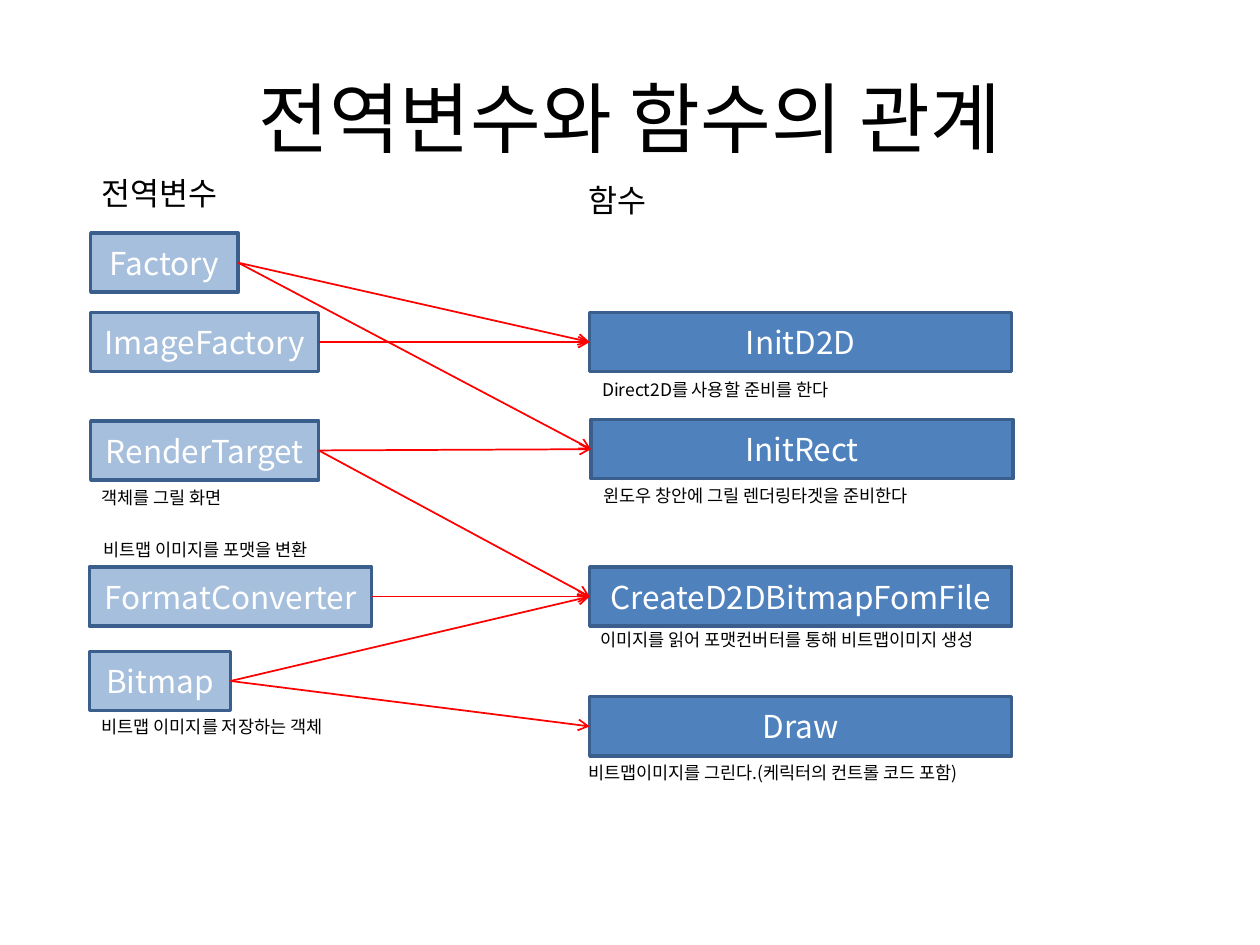
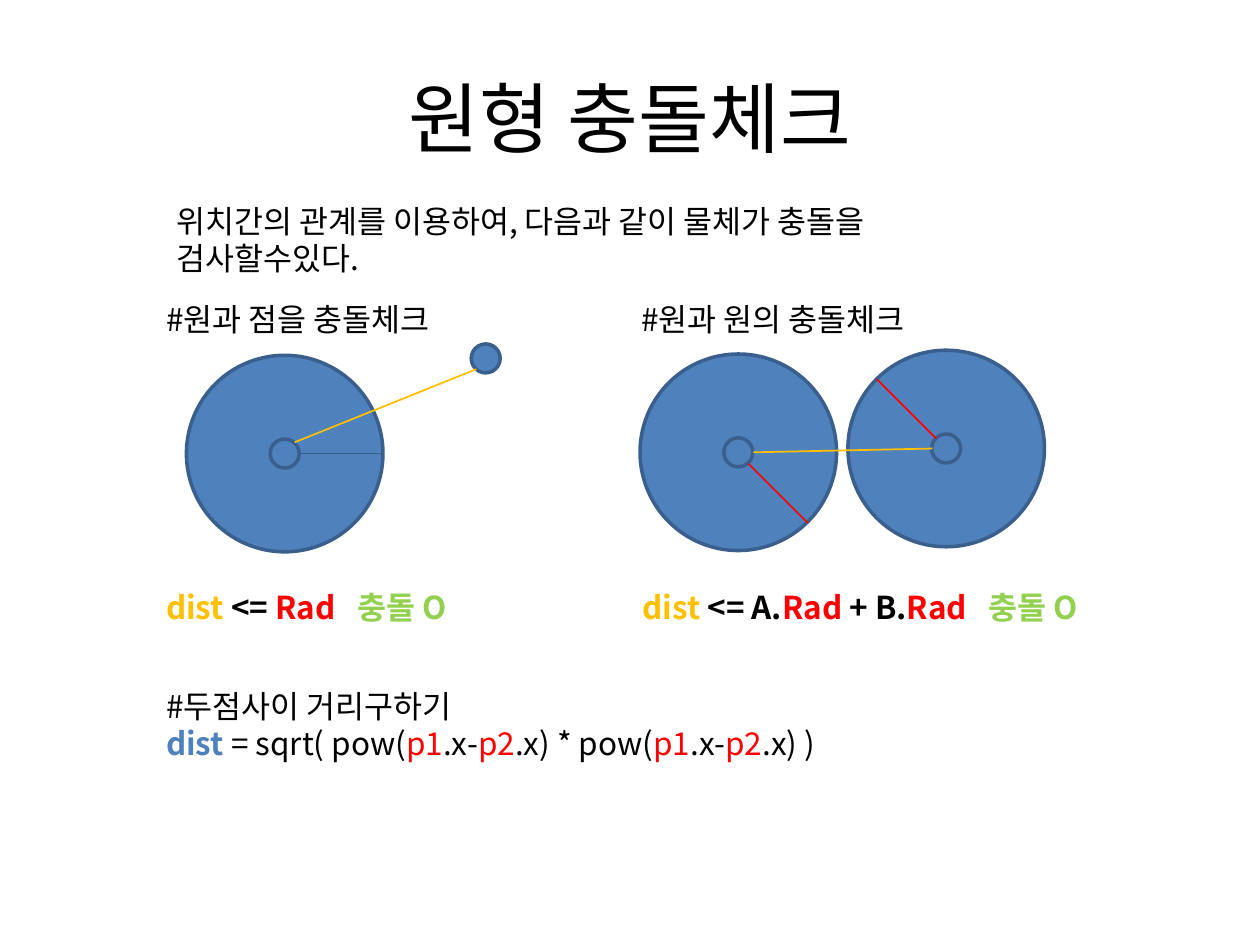
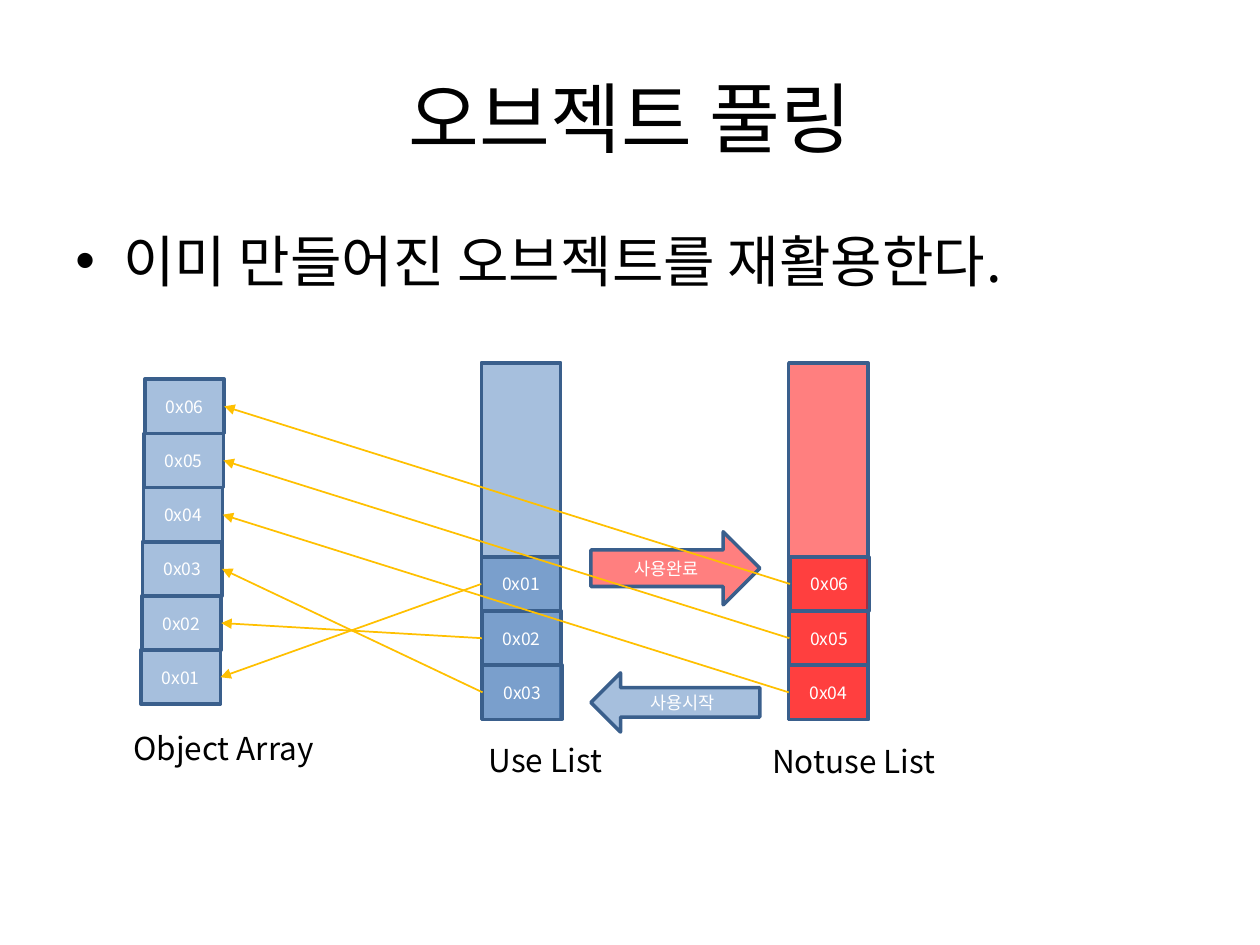
from dataclasses import dataclass
from typing import Optional

from lxml import etree
from pptx import Presentation
from pptx.dml.color import RGBColor
from pptx.enum.shapes import MSO_CONNECTOR, MSO_SHAPE
from pptx.enum.text import MSO_ANCHOR, PP_ALIGN
from pptx.oxml.ns import qn
from pptx.util import Inches, Pt

FONT = "Noto Sans CJK KR"
BLACK, WHITE = "000000", "FFFFFF"
BLUE, OUTLINE = "4F81BD", "3A5F8C"
RED, AMBER, GREEN = "FF0000", "FFC000", "92D050"
LEFT_SIDE, RIGHT_SIDE = 1, 3
CELL_WIDTH, CELL_HEIGHT = 0.63, 0.43


@dataclass(frozen=True)
class Area:
    left: float
    top: float
    width: float
    height: float

    def lengths(self) -> tuple:
        return tuple(map(Inches, (self.left, self.top, self.width, self.height)))


@dataclass(frozen=True)
class Span:
    text: str
    color: str = BLACK
    bold: bool = False


@dataclass(frozen=True)
class Node:
    name: str
    area: Area
    alpha: Optional[int] = None


@dataclass(frozen=True)
class Label:
    text: str
    area: Area
    size: float = 18


@dataclass(frozen=True)
class Stack:
    codes: tuple
    left: float
    bottom_cell: float
    drift: float
    color: str


def rgb(color: str) -> RGBColor:
    return RGBColor.from_string(color)


def add_child(parent, tag: str, **attributes: str):
    return etree.SubElement(parent, qn(tag), attributes)


def style_font(font, size: float, color: str, bold: bool = False) -> None:
    font.size, font.name, font.bold = Pt(size), FONT, bold
    font.color.rgb = rgb(color)


def add_span(para, span: Span, size: float) -> None:
    run = para.add_run()
    run.text = span.text
    style_font(run.font, size, span.color, span.bold)
    run.font._element.find(qn("a:latin")).addnext(
        etree.Element(qn("a:ea"), typeface=FONT))


def add_text(page, area: Area, lines: list, size: float = 18):
    """Place one paragraph whose lines are lists of spans."""
    box = page.shapes.add_textbox(*area.lengths())
    box.text_frame.word_wrap = True
    para = box.text_frame.paragraphs[0]
    for number, spans in enumerate(lines):
        if number:
            para.add_line_break()
        for span in spans:
            add_span(para, span, size)
    return box


def add_label(page, label: Label):
    return add_text(page, label.area, [[Span(label.text)]], label.size)


def add_title(page, text: str) -> None:
    box = add_label(page, Label(text, Area(0.5, 0.3, 9, 1.25), 44))
    box.text_frame.vertical_anchor = MSO_ANCHOR.MIDDLE
    box.text_frame.paragraphs[0].alignment = PP_ALIGN.CENTER


def add_figure(page, kind, area: Area, color: str = BLUE,
               alpha: Optional[int] = None, text: str = "", size: float = 18):
    figure = page.shapes.add_shape(kind, *area.lengths())
    figure.shadow.inherit = False
    figure.fill.solid()
    figure.fill.fore_color.rgb = rgb(color)
    if alpha is not None:
        fill = figure._element.spPr.find(qn("a:solidFill"))
        add_child(fill[0], "a:alpha", val=str(alpha * 1000))
    figure.line.color.rgb = rgb(OUTLINE)
    figure.line.width = Pt(2)
    if text:
        frame = figure.text_frame
        frame.word_wrap = False
        frame.vertical_anchor = MSO_ANCHOR.MIDDLE
        para = frame.paragraphs[0]
        para.alignment = PP_ALIGN.CENTER
        add_span(para, Span(text, WHITE), size)
    return figure


def add_line(page, start: tuple, end: tuple, color: str, width: float = 1):
    line = page.shapes.add_connector(
        MSO_CONNECTOR.STRAIGHT, *map(Inches, (*start, *end)))
    line.line.color.rgb = rgb(color)
    line.line.width = Pt(width)
    add_child(line._element.spPr, "a:effectLst")
    return line


def add_arrow(page, source, source_side: int, target, target_side: int,
              color: str, head: str) -> None:
    """Join the sides of two rectangles, with a head at the target."""
    arrow = add_line(page, (0, 0), (1, 1), color)
    arrow.begin_connect(source, source_side)
    arrow.end_connect(target, target_side)
    add_child(arrow.line._get_or_add_ln(), "a:tailEnd", type=head)


def add_verdict(page, area: Area, spans: list, tab: float) -> None:
    """Write a bold condition and, at a tab stop, its result."""
    box = add_text(page, area, [])
    para = box.text_frame.paragraphs[0]
    tabs = add_child(para._p.get_or_add_pPr(), "a:tabLst")
    add_child(tabs, "a:tab", pos=str(Inches(tab)), algn="l")
    for text, color in [*spans, ("\t충돌 O", GREEN)]:
        add_span(para, Span(text, color, True), 18)


def build_relations(page) -> None:
    add_title(page, "전역변수와 함수의 관계")

    # Global variables on the left, functions on the right
    nodes = [
        Node("Factory", Area(0.72, 1.85, 1.17, 0.47), 50),
        Node("ImageFactory", Area(0.72, 2.48, 1.81, 0.47), 50),
        Node("RenderTarget", Area(0.72, 3.34, 1.81, 0.47), 50),
        Node("FormatConverter", Area(0.71, 4.5, 2.24, 0.47), 50),
        Node("Bitmap", Area(0.71, 5.17, 1.12, 0.47), 50),
        Node("InitD2D", Area(4.68, 2.48, 3.35, 0.47)),
        Node("InitRect", Area(4.69, 3.33, 3.35, 0.47)),
        Node("CreateD2DBitmapFomFile", Area(4.68, 4.5, 3.35, 0.47)),
        Node("Draw", Area(4.68, 5.53, 3.35, 0.47)),
    ]
    boxes = {node.name: add_figure(page, MSO_SHAPE.RECTANGLE, node.area,
                                   alpha=node.alpha, text=node.name)
             for node in nodes}

    # Which function uses which variable
    uses = {
        "Factory": ["InitD2D", "InitRect"],
        "ImageFactory": ["InitD2D"],
        "RenderTarget": ["InitRect", "CreateD2DBitmapFomFile"],
        "FormatConverter": ["CreateD2DBitmapFomFile"],
        "Bitmap": ["CreateD2DBitmapFomFile", "Draw"],
    }
    for variable, functions in uses.items():
        for function in functions:
            add_arrow(page, boxes[variable], RIGHT_SIDE,
                      boxes[function], LEFT_SIDE, RED, "arrow")

    # Headings and explanations
    for label in [
        Label("전역변수", Area(0.71, 1.33, 1.45, 0.4)),
        Label("함수", Area(4.57, 1.39, 1.45, 0.4)),
        Label("객체를 그릴 화면", Area(0.71, 3.82, 2.22, 0.27), 10),
        Label("비트맵 이미지를 포맷을 변환", Area(0.72, 4.23, 2.22, 0.27), 10),
        Label("비트맵 이미지를 저장하는 객체", Area(0.71, 5.63, 2.38, 0.27), 10),
        Label("Direct2D를 사용할 준비를 한다", Area(4.68, 2.96, 3.35, 0.27), 10),
        Label("윈도우 창안에 그릴 렌더링타겟을 준비한다",
              Area(4.69, 3.8, 3.35, 0.27), 10),
        Label("이미지를 읽어 포맷컨버터를 통해 비트맵이미지 생성",
              Area(4.67, 4.94, 3.56, 0.27), 10),
        Label("비트맵이미지를 그린다.(케릭터의 컨트롤 코드 포함)",
              Area(4.57, 6, 3.45, 0.27), 10),
    ]:
        add_label(page, label)


def build_collision(page) -> None:
    add_title(page, "원형 충돌체크")

    # Circles with their centres, and the lone point
    disc, dot = 1.56, 0.23
    inset = (disc - dot) / 2
    circles = [(1.48, 2.82), (5.08, 2.81), (6.73, 2.78)]
    rounds = [(left + shift, top + shift, size)
              for left, top in circles
              for shift, size in ((0, disc), (inset, dot))]
    for left, top, size in [*rounds, (3.74, 2.73, dot)]:
        add_figure(page, MSO_SHAPE.OVAL, Area(left, top, size, size))

    # Radii and distances
    add_line(page, (2.37, 3.6), (3.04, 3.6), OUTLINE, 0.75)
    add_line(page, (6.96, 3.01), (7.43, 3.48), RED)
    add_line(page, (5.94, 3.68), (6.41, 4.15), RED)
    add_line(page, (2.34, 3.51), (3.78, 2.93), AMBER)
    add_line(page, (5.98, 3.59), (7.4, 3.56), AMBER)

    # Introduction and headings
    for label in [
        Label("위치간의 관계를 이용하여, 다음과 같이 물체가 충돌을 검사할수있다.",
              Area(1.3, 1.55, 6.13, 0.71)),
        Label("#원과 점을 충돌체크", Area(1.22, 2.33, 2.64, 0.4)),
        Label("#원과 원의 충돌체크", Area(4.99, 2.33, 2.64, 0.4)),
    ]:
        add_label(page, label)

    # Collision conditions
    add_verdict(page, Area(1.22, 4.62, 2.68, 0.71),
                [("dist", AMBER), (" <= ", BLACK), ("Rad", RED)], 1.52)
    add_verdict(page, Area(5, 4.62, 3.94, 0.71),
                [("dist", AMBER), (" <= A.", BLACK), ("Rad", RED),
                 (" + B.", BLACK), ("Rad", RED)], 2.75)

    # Distance formula
    difference = [Span("p1", RED), Span(".x-"), Span("p2", RED)]
    add_text(page, Area(1.22, 5.4, 7.47, 1.23), [
        [Span("#두점사이 거리구하기")],
        [Span("dist", BLUE, True), Span(" = sqrt( pow("), *difference,
         Span(".x) * pow("), *difference, Span(".x) )")],
    ])


def add_stack(page, stack: Stack) -> dict:
    """Pile cells from the bottom up and return them by code."""
    cells = {}
    for level, code in enumerate(stack.codes):
        left = stack.left + stack.drift * level / (len(stack.codes) - 1)
        area = Area(left, stack.bottom_cell - level * CELL_HEIGHT,
                    CELL_WIDTH, CELL_HEIGHT)
        cells[code] = add_figure(page, MSO_SHAPE.RECTANGLE, area,
                                 stack.color, 50, code, 10)
    return cells


def build_pooling(page) -> None:
    add_title(page, "오브젝트 풀링")
    body = add_label(page, Label("이미 만들어진 오브젝트를 재활용한다.",
                                 Area(0.5, 1.75, 9, 0.82), 32))
    properties = body.text_frame.paragraphs[0]._p.get_or_add_pPr()
    properties.set("marL", str(Inches(0.38)))
    properties.set("indent", str(Inches(-0.38)))
    add_child(properties, "a:buFont", typeface="Arial")
    add_child(properties, "a:buChar", char="•")

    # List containers
    for left, color in ((3.82, BLUE), (6.26, RED)):
        add_figure(page, MSO_SHAPE.RECTANGLE,
                   Area(left, 2.88, CELL_WIDTH, 2.83), color, 50)
    for label in [
        Label("Object Array", Area(0.96, 5.74, 2.2, 0.4)),
        Label("Use List", Area(3.78, 5.83, 2.2, 0.4)),
        Label("Notuse List", Area(6.03, 5.84, 1.65, 0.4)),
    ]:
        add_label(page, label)

    # Cells of the array and of both lists
    codes = tuple(f"0x{number:02}" for number in range(1, 7))
    array = add_stack(page, Stack(codes, 1.12, 5.16, 0.03, BLUE))
    used = add_stack(page, Stack(codes[2::-1], 3.83, 5.28, -0.01, BLUE))
    unused = add_stack(page, Stack(codes[3:], 6.26, 5.28, 0.01, RED))

    # Moves between the lists
    add_figure(page, MSO_SHAPE.RIGHT_ARROW, Area(4.69, 4.22, 1.34, 0.58),
               RED, 50, "사용완료", 10)
    add_figure(page, MSO_SHAPE.LEFT_ARROW, Area(4.69, 5.34, 1.34, 0.47),
               BLUE, 50, "사용시작", 10)

    # References from the lists into the array
    for code, cell in {**used, **unused}.items():
        add_arrow(page, cell, LEFT_SIDE, array[code], RIGHT_SIDE,
                  AMBER, "triangle")


def main() -> None:
    deck = Presentation()
    deck.slide_width, deck.slide_height = Inches(10), Inches(7.5)
    for build in (build_relations, build_collision, build_pooling):
        build(deck.slides.add_slide(deck.slide_layouts[6]))
    deck.save("out.pptx")


if __name__ == "__main__":
    main()
